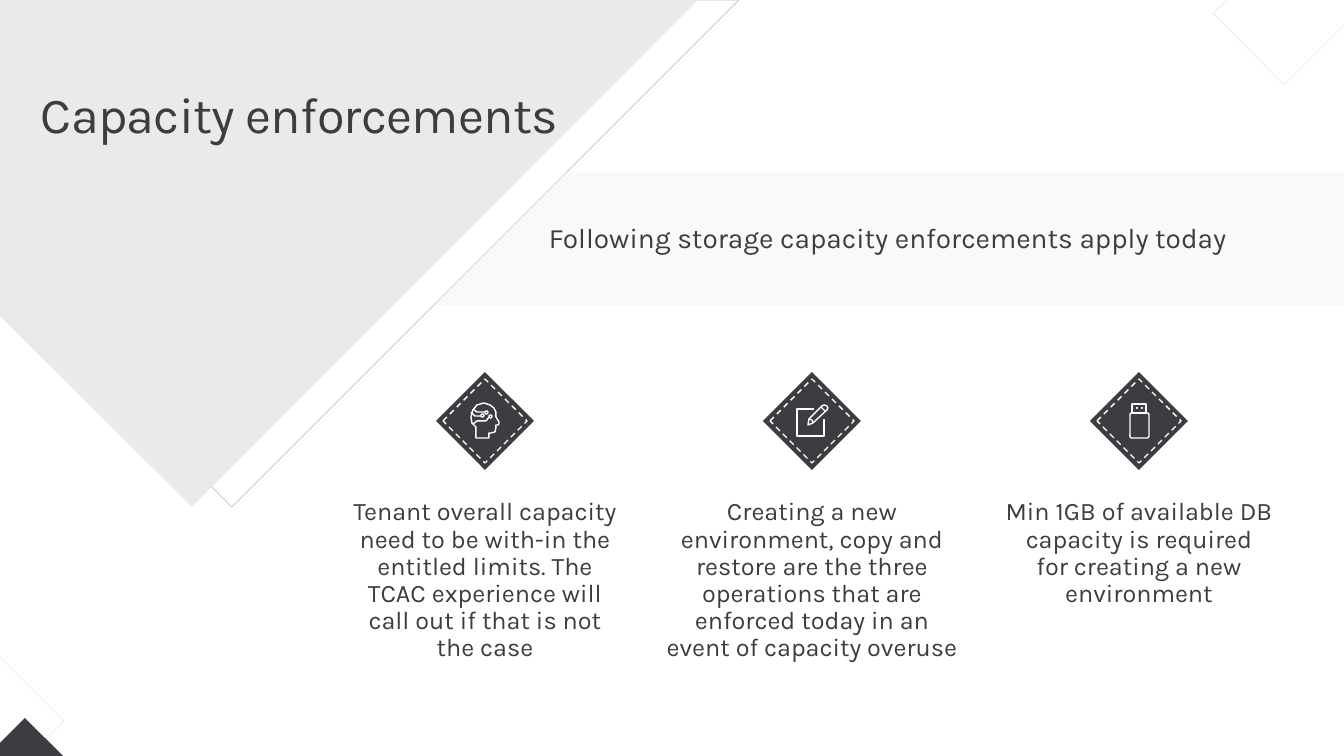
from copy import deepcopy

from lxml import etree
from pptx import Presentation
from pptx import util as u
from pptx.dml.color import RGBColor
from pptx.enum import dml, shapes, text
from pptx.oxml.ns import qn

INK = RGBColor(0x3C, 0x3C, 0x41)
GREY = RGBColor(0xEA, 0xEA, 0xEA)
BAND = RGBColor(0xF2, 0xF2, 0xF2)
RULE = RGBColor(0xBF, 0xBF, 0xBF)
WHITE = RGBColor(0xFF, 0xFF, 0xFF)

PX = 914400 / 100.8
WIDTH, HEIGHT = 1344, 756
FONT = "Karla"

TILE_X, TILE_Y, TILE_PITCH = 485, 421, 327
TILE_SIZE, STITCH_SIZE = 98, 84
COLUMN_WIDTH, COLUMN_TOP, COLUMN_HEIGHT = 306, 499, 140

# Icon points are offsets from the centre of their tile.
HEAD = [(14, 1), (11, -4), (11, -9), (9, -13), (5, -16), (-1, -18), (-8, -16),
        (-12, -11), (-14, -4), (-13, 2), (-9, 6), (-9, 17), (4, 17), (4, 12),
        (6, 12), (10, 11), (11, 7), (11, 4), (13, 4), (14, 3)]
CIRCUITS = [[(-12, -12), (-8, -9), (0, -9)],
            [(-14, -9), (-10, -5), (-4, -5)],
            [(-12, 3), (-8, 0), (1, 0), (4, -4)]]
NODES = [(0, -10), (-4, -7), (4, -6)]
PAGE_OUTLINE = [(12, -2), (12, 15), (-15, 15), (-15, -12), (2, -12)]
PENCIL = [(1, 2), (-4, 4), (-3, -2), (10, -15), (12, -16), (15, -15),
          (16, -13), (15, -11)]
PENCIL_DETAILS = [[(9, -14), (13, -10)], [(1, 2), (0, -1), (-3, -2)]]

COLUMNS = [
    "Tenant overall capacity\nneed to be with-in the entitled limits. The\n"
    "TCAC experience will\ncall out if that is not\nthe case",
    "Creating a new environment, copy and restore are the three operations "
    "that are enforced today in an\nevent of capacity overuse",
    "Min 1GB of available DB capacity is required\n"
    "for creating a new environment",
]


def px(length):
    return u.Emu(round(length * PX))


def write(box, words, size, align=text.PP_ALIGN.CENTER,
          anchor=text.MSO_ANCHOR.TOP, spacing=0.9, after=0, tracking=None):
    frame = box.text_frame
    frame.word_wrap = True
    frame.auto_size = text.MSO_AUTO_SIZE.NONE
    frame.vertical_anchor = anchor
    frame.margin_left = frame.margin_right = 0
    frame.margin_top = frame.margin_bottom = 0
    para = frame.paragraphs[0]
    para.text = words
    properties = para._p.get_or_add_pPr()
    properties.set("marL", "0")
    properties.set("indent", "0")
    etree.SubElement(properties, qn("a:buNone"))
    para.alignment = align
    para.line_spacing = spacing
    para.space_before = u.Pt(0)
    para.space_after = u.Pt(after)
    for span in para.runs:
        span.font.name = FONT
        span.font.size = u.Pt(size)
        span.font.bold = False
        span.font.color.rgb = INK
        if tracking is not None:
            span.font._element.set("spc", str(round(tracking * 100)))
    for line_break in para._p.findall(qn("a:br")):
        line_break.append(deepcopy(para.runs[0].font._element))


class CapacitySlide:
    def __init__(self, deck):
        self.page = deck.slides.add_slide(deck.slide_layouts[4])
        self.target = self.page.shapes
        self.origin = (0, 0)

    def paint(self, shape, fill=None, line=None, weight=0.5, dash=None, alpha=None):
        shape.shadow.inherit = False
        if fill is None:
            shape.fill.background()
        else:
            shape.fill.solid()
            shape.fill.fore_color.rgb = fill
            if alpha is not None:
                colour = shape.fill._xPr.find(".//" + qn("a:srgbClr"))
                etree.SubElement(colour, qn("a:alpha"), val=str(alpha * 1000))
        if line is None:
            shape.line.fill.background()
        else:
            shape.line.color.rgb = line
            shape.line.width = u.Pt(weight)
            shape.line.dash_style = dash
        return shape

    def preset(self, kind, x, y, width, height, **style):
        left, top = self.origin
        shape = self.target.add_shape(
            kind, px(left + x), px(top + y), px(width), px(height))
        return self.paint(shape, **style)

    def outline(self, points, close=True, **style):
        left, top = self.origin
        first, *rest = [(left + x, top + y) for x, y in points]
        builder = self.target.build_freeform(*first, scale=PX)
        builder.add_line_segments(rest, close=close)
        return self.paint(builder.convert_to_shape(), **style)

    def diamond(self, x, y, size, **style):
        return self.preset(shapes.MSO_SHAPE.DIAMOND, x, y, size, size, **style)

    def placeholder(self, index, x, y, width, height, words, **style):
        """Fill a layout placeholder and bring it to the front."""
        box = self.page.placeholders[index]
        box.left, box.top, box.width, box.height = map(px, (x, y, width, height))
        tree = box._element.getparent()
        tree.append(box._element)
        write(box, words, **style)

    def tile(self, center_x, draw_icon):
        self.target = self.page.shapes.add_group_shape().shapes
        self.origin = (center_x, TILE_Y)
        self.diamond(-TILE_SIZE // 2, -TILE_SIZE // 2, TILE_SIZE, fill=INK)
        self.diamond(-STITCH_SIZE // 2, -STITCH_SIZE // 2, STITCH_SIZE,
                     line=WHITE, weight=1, dash=dml.MSO_LINE.DASH)
        draw_icon()
        self.target = self.page.shapes
        self.origin = (0, 0)

    def strokes(self, paths, close=False):
        for points in paths:
            self.outline(points, close=close, line=WHITE, weight=1)

    def head_icon(self):
        self.strokes([HEAD], close=True)
        self.strokes(CIRCUITS)
        for x, y in NODES:
            self.preset(shapes.MSO_SHAPE.OVAL, x, y, 3, 3, line=WHITE, weight=1)

    def edit_icon(self):
        self.strokes([PAGE_OUTLINE])
        self.strokes([PENCIL], close=True)
        self.strokes(PENCIL_DETAILS)

    def drive_icon(self):
        body = self.preset(shapes.MSO_SHAPE.ROUNDED_RECTANGLE, -9, -8, 19, 25,
                           line=WHITE, weight=1)
        body.adjustments[0] = 0.1
        self.preset(shapes.MSO_SHAPE.RECTANGLE, -7, -17, 14, 9,
                    line=WHITE, weight=1)
        for x in (-3, 2):
            self.preset(shapes.MSO_SHAPE.OVAL, x, -14, 2, 2, fill=WHITE)


def main():
    deck = Presentation()
    deck.slide_width, deck.slide_height = px(WIDTH), px(HEIGHT)
    slide = CapacitySlide(deck)

    slide.outline([(40, 0), (739, 0), (232, 507), (40, 316)], line=RULE)
    slide.outline([(0, 0), (698, 0), (192, 507), (0, 316)], fill=GREY)
    slide.placeholder(0, 41, 83, 527, 122, "Capacity enforcements", size=36,
                      align=text.PP_ALIGN.LEFT, spacing=1.0, tracking=-0.5)
    band = slide.outline([(566, 172), (WIDTH, 172), (WIDTH, 306), (432, 306)],
                         fill=BAND, alpha=45)
    write(band, "Following storage capacity enforcements apply today", size=20,
          anchor=text.MSO_ANCHOR.MIDDLE)

    slide.diamond(-160, 609, 224, line=GREY)
    slide.diamond(-14, 718, 78, fill=INK)
    slide.outline([(WIDTH, 25), (1284, 85), (1213, 13), (1227, 0)],
                  close=False, line=GREY)

    icons = [slide.head_icon, slide.edit_icon, slide.drive_icon]
    for column, (words, icon) in enumerate(zip(COLUMNS, icons)):
        center_x = TILE_X + column * TILE_PITCH
        slide.tile(center_x, icon)
        slide.placeholder(column + 1, center_x - COLUMN_WIDTH // 2, COLUMN_TOP,
                          COLUMN_WIDTH, COLUMN_HEIGHT, words, size=18, after=5.9)

    unused = slide.page.placeholders[4]._element
    unused.getparent().remove(unused)
    deck.save("out.pptx")


if __name__ == "__main__":
    main()
